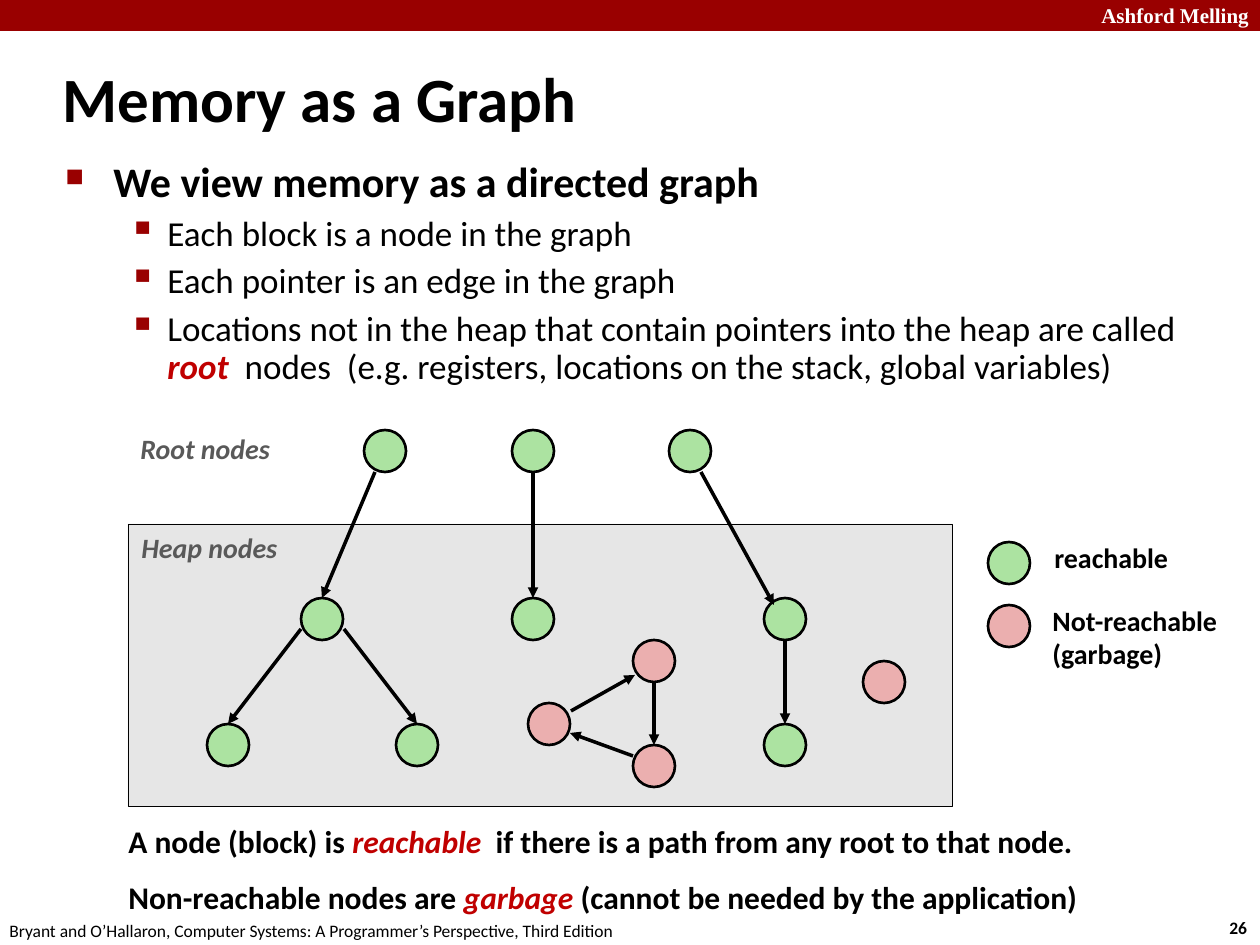
from lxml.etree import SubElement
from pptx import Presentation
from pptx.dml.color import RGBColor
from pptx.enum.shapes import MSO_CONNECTOR, MSO_SHAPE
from pptx.enum.text import MSO_ANCHOR, MSO_AUTO_SIZE
from pptx.oxml.ns import qn
from pptx.util import Pt

PX = 914400 // 126
COLORS = {
    "black": "000000", "white": "FFFFFF", "maroon": "990000", "accent": "C00000",
    "label": "595959", "heap": "E6E6E6", "reachable": "ACE3A1", "garbage": "EBAFAF",
}
RGB = {name: RGBColor.from_string(value) for name, value in COLORS.items()}

deck = Presentation()
deck.slide_width, deck.slide_height = 1260 * PX, 945 * PX
slide = deck.slides.add_slide(deck.slide_layouts[6])


def add_shape(preset, box, fill, line_width=None):
    """Add a filled preset shape, with a black outline if a width is given."""
    shape = slide.shapes.add_shape(preset, *(v * PX for v in box))
    shape.shadow.inherit = False
    shape.fill.solid()
    shape.fill.fore_color.rgb = RGB[fill]
    if line_width:
        shape.line.color.rgb = RGB["black"]
        shape.line.width = Pt(line_width)
    else:
        shape.line.fill.background()


def add_text(box, paragraphs, frame_format):
    """Add a text box; each paragraph is (runs, font, format, indent, bullet)."""
    frame = slide.shapes.add_textbox(*(v * PX for v in box)).text_frame
    for name, value in frame_format.items():
        setattr(frame, name, value)
    for index, (runs, font, layout, indent, bullet) in enumerate(paragraphs):
        paragraph = frame.add_paragraph() if index else frame.paragraphs[0]
        for name, value in layout.items():
            setattr(paragraph, name, value)
        properties = paragraph._p.get_or_add_pPr()
        if indent:
            left, hang = indent
            properties.set("marL", str(left * PX))
            properties.set("indent", str(-hang * PX))
        if bullet:
            character, percent = bullet
            color = SubElement(properties, qn("a:buClr"))
            SubElement(color, qn("a:srgbClr"), val=COLORS["maroon"])
            SubElement(properties, qn("a:buSzPct"), val=str(percent * 1000))
            SubElement(properties, qn("a:buChar"), char=character)
        for words, color, changes in runs:
            for row, line in enumerate(words.split("\n")):
                if row:
                    paragraph.add_line_break()
                run = paragraph.add_run()
                run.text = line
                run.font.color.rgb = RGB[color]
                for name, value in {"name": "Calibri", **font, **changes}.items():
                    setattr(run.font, name, value)


WRAPPED = {"word_wrap": True}
FITTED = {"word_wrap": False, "auto_size": MSO_AUTO_SIZE.SHAPE_TO_FIT_TEXT}
EMPHASIS = {"bold": True, "italic": True}

# Header, footer and title
add_shape(MSO_SHAPE.RECTANGLE, (0, 0, 1260, 31), "maroon")
single_lines = [
    ((1089, -4, 180, 38), "Ashford Melling", "white",
     {"name": "Times New Roman", "size": Pt(12), "bold": True}, WRAPPED),
    ((1217, 911, 47, 34), "26", "black", {"size": Pt(10), "bold": True}, FITTED),
    ((-3, 914, 640, 34),
     "Bryant and O’Hallaron, Computer Systems: A Programmer’s Perspective, Third Edition",
     "black", {"size": Pt(10)}, FITTED),
]
for box, words, color, font, frame_format in single_lines:
    add_text(box, [([(words, color, {})], font, {}, None, None)], frame_format)

add_text(
    (50, 63, 873, 79),
    [([("Memory as a Graph", "black", {})], {"size": Pt(36), "bold": True},
      {"line_spacing": 0.87}, (16, 16), None)],
    {"word_wrap": True, "vertical_anchor": MSO_ANCHOR.MIDDLE},
)

# Main points
main_point = ({"size": Pt(24), "bold": True},
              {"line_spacing": 0.85, "space_before": Pt(12.5)}, (48, 48), ("■", 60))
sub_point = ({"size": Pt(20)},
             {"line_spacing": 0.9, "space_before": Pt(5.6), "level": 1}, (102, 39), ("▪", 110))
add_text(
    (53, 157, 1167, 213),
    [
        ([("We view memory as a directed graph", "black", {})], *main_point),
        ([("Each block is a node in the graph", "black", {})], *sub_point),
        ([("Each pointer is an edge in the graph", "black", {})], *sub_point),
        ([("Locations not in the heap that contain pointers into the heap are called ",
           "black", {}),
          ("root", "accent", EMPHASIS),
          ("  nodes  (e.g. registers, locations on the stack, global variables)",
           "black", {})], *sub_point),
    ],
    WRAPPED,
)

# Memory graph and legend
add_shape(MSO_SHAPE.RECTANGLE, (128, 524, 825, 283), "heap", 0.5)
NODE = 42
nodes = {
    "reachable": [(364, 430), (512, 430), (669, 430),
                  (301, 598), (512, 598), (764, 598),
                  (207, 724), (396, 724), (764, 724), (988, 542)],
    "garbage": [(633, 640), (633, 745), (528, 703), (863, 661), (988, 605)],
}
for state, corners in nodes.items():
    for left, top in corners:
        add_shape(MSO_SHAPE.OVAL, (left, top, NODE, NODE), state, 1.5)

pointers = [
    (375, 472, 322, 598), (533, 472, 533, 598), (701, 472, 774, 605),
    (301, 629, 228, 724), (344, 629, 417, 724), (785, 640, 785, 724),
    (654, 682, 654, 745), (633, 756, 570, 733), (571, 711, 635, 675),
]
for ends in pointers:
    pointer = slide.shapes.add_connector(MSO_CONNECTOR.STRAIGHT, *(v * PX for v in ends))
    pointer.line.color.rgb = RGB["black"]
    pointer.line.width = Pt(2)
    SubElement(pointer.line._get_or_add_ln(), qn("a:tailEnd"), type="triangle")
    SubElement(pointer._element.spPr, qn("a:effectLst"))

labels = [
    ((128, 425, 159, 47), "Root nodes", "label", EMPHASIS),
    ((129, 524, 164, 47), "Heap nodes", "label", EMPHASIS),
    ((1042, 534, 140, 47), "reachable", "black", {"bold": True}),
    ((1040, 597, 193, 81), "Not-reachable\n(garbage)", "black", {"bold": True}),
]
for box, words, color, style in labels:
    add_text(box, [([(words, color, style)], {"size": Pt(16)}, {}, None, None)], FITTED)

# Conclusions
conclusion = ({"size": Pt(18), "bold": True},
              {"line_spacing": 0.95, "space_before": Pt(11.2)}, (53, 53), None)
add_text(
    (116, 819, 1021, 116),
    [
        ([("A node (block) is ", "black", {}),
          ("reachable", "accent", EMPHASIS),
          ("  if there is a path from any root to that node.", "black", {})], *conclusion),
        ([("Non-reachable nodes are ", "black", {}),
          ("garbage ", "accent", EMPHASIS),
          ("(cannot be needed by the application)", "black", {})], *conclusion),
    ],
    WRAPPED,
)

deck.save("out.pptx")
